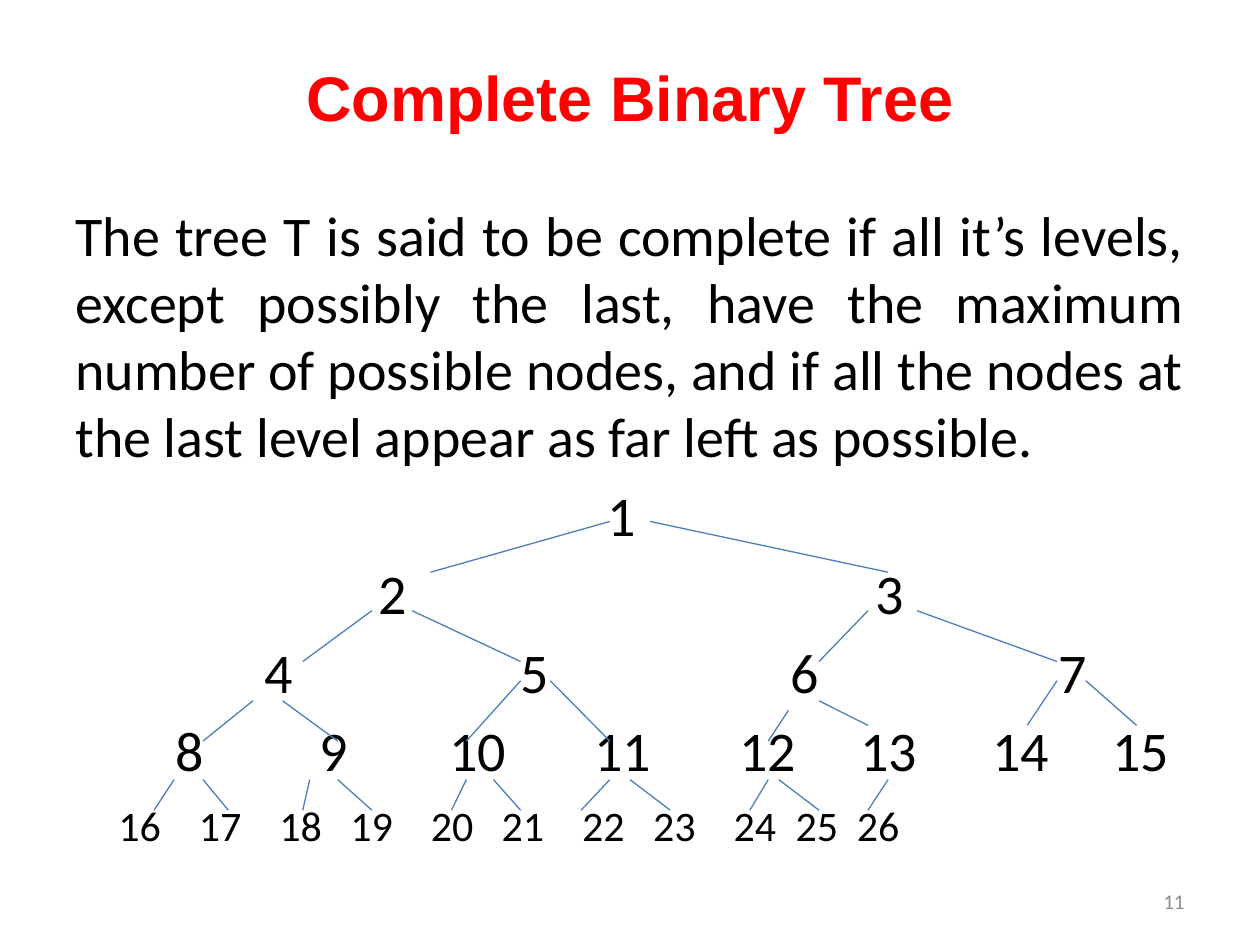
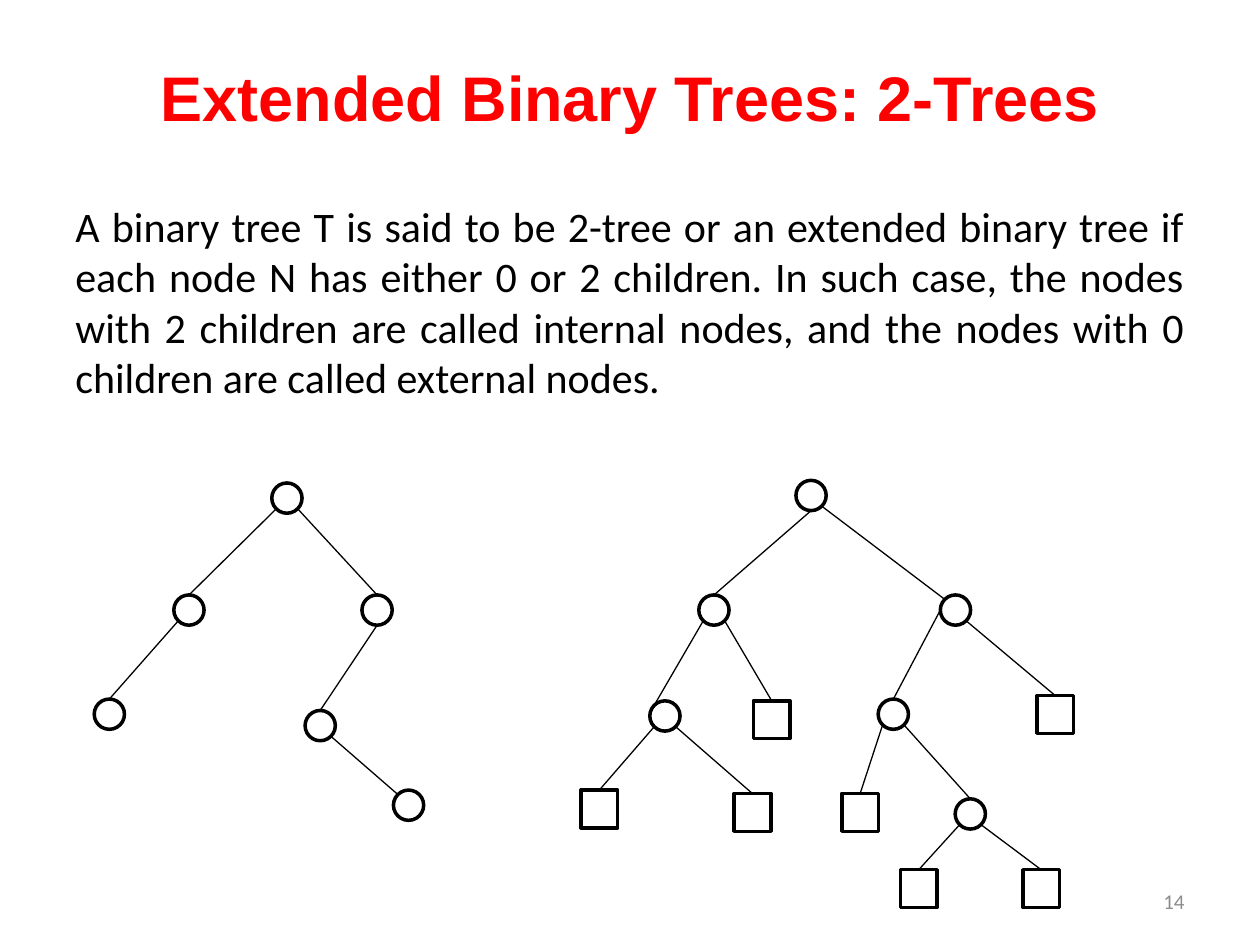
from lxml.etree import SubElement
from pptx import Presentation
from pptx.dml.color import RGBColor
from pptx.enum.shapes import MSO_CONNECTOR as CONN, MSO_SHAPE as SHAPE
from pptx.enum.text import MSO_ANCHOR as ANCHOR, PP_ALIGN as ALIGN
from pptx.oxml.ns import qn
from pptx.util import Pt

COLORS = {"title": "FF0000", "text": "000000", "number": "8C8C8C",
          "edge": "4B7EBC", "outline": "000000", "node": "FFFFFF"}
BODY_LEFT, INSET = 36, 7.2
CIRCLE, SQUARE = (17.3, 17.3), (21, 21.6)
# Points on a circle's rim, as multiples of its radius
RIM = {"bottom": (0, 1), "left": (-1, 0), "bottom left": (-0.71, 0.71),
       "bottom right": (0.71, 0.71), "top left": (-0.71, -0.71)}


def rgb(name):
    return RGBColor.from_string(COLORS[name])


class Deck:
    """Holds the shared style and the slide being drawn."""

    def __init__(self):
        self.prs = Presentation()
        self.prs.slide_width, self.prs.slide_height = Pt(720), Pt(540)
        self.slide = None

    def new_slide(self, title, number):
        self.slide = self.prs.slides.add_slide(self.prs.slide_layouts[6])
        tf = self.text_box(BODY_LEFT, 21.6, 648, 67, ANCHOR.MIDDLE)
        self.run(tf.paragraphs[0], title, 36, "title", ALIGN.CENTER, "Arial", True)
        tf = self.text_box(516, 500.4, 168, 28.8, ANCHOR.MIDDLE)
        self.run(tf.paragraphs[0], number, 12, "number", ALIGN.RIGHT)

    def text_box(self, x, y, w, h, anchor=ANCHOR.TOP):
        tf = self.slide.shapes.add_textbox(Pt(x), Pt(y), Pt(w), Pt(h)).text_frame
        tf.word_wrap = True
        tf.vertical_anchor = anchor
        return tf

    def run(self, p, text, size, color="text", align=ALIGN.LEFT,
            font="Calibri", bold=False):
        p.alignment = align
        r = p.add_run()
        r.text = text
        r.font.name, r.font.size, r.font.bold = font, Pt(size), bold
        r.font.color.rgb = rgb(color)

    def body(self, text, size, height):
        tf = self.text_box(BODY_LEFT, 110.9, 648, height)
        self.run(tf.paragraphs[0], text, size, align=ALIGN.JUSTIFY)
        return tf

    def number_row(self, tf, first, centers, size, space):
        """Adds a tree level: consecutive numbers on centred tab stops."""
        p = tf.add_paragraph()
        p.space_before = Pt(space)
        tabs = SubElement(p._p.get_or_add_pPr(), qn("a:tabLst"))
        for x in centers:
            SubElement(tabs, qn("a:tab"), pos=str(Pt(x - BODY_LEFT - INSET)), algn="ctr")
        numbers = range(first, first + len(centers))
        self.run(p, "".join(f"\t{n}" for n in numbers), size)

    def line(self, x1, y1, x2, y2, color):
        cn = self.slide.shapes.add_connector(CONN.STRAIGHT, Pt(x1), Pt(y1), Pt(x2), Pt(y2))
        cn.line.color.rgb = rgb(color)
        cn.line.width = Pt(0.75)
        SubElement(cn._element.spPr, qn("a:effectLst"))
        return cn

    def node(self, center, top, square=False):
        w, h = SQUARE if square else CIRCLE
        kind = SHAPE.RECTANGLE if square else SHAPE.OVAL
        sp = self.slide.shapes.add_shape(kind, Pt(center - w / 2), Pt(top), Pt(w), Pt(h))
        sp.shadow.inherit = False
        sp.fill.solid()
        sp.fill.fore_color.rgb = rgb("node")
        sp.line.color.rgb = rgb("outline")
        sp.line.width = Pt(2)
        return sp

    def tree(self, nodes, starts, ends, extended=False):
        """Draws nodes keyed by their path of L and R steps from the root.

        starts and ends give the rim points of edges that differ from the rule.
        An extended tree shows its leaves as squares.
        """
        def rim(path, site):
            x, top = nodes[path]
            dx, dy = RIM[site]
            radius = CIRCLE[0] / 2
            return x + dx * radius, top + (1 + dy) * radius

        shapes = {}
        for path, (x, top) in nodes.items():
            leaf = path + "L" not in nodes and path + "R" not in nodes
            shapes[path] = self.node(x, top, extended and leaf)
        for path in nodes:
            if not path:
                continue
            side = "bottom left" if path[-1] == "L" else "bottom right"
            start = rim(path[:-1], starts.get(path, side))
            end = rim(path, ends[path]) if path in ends else nodes[path]
            cn = self.line(*start, *end, "outline")
            if path not in ends:
                cn.end_connect(shapes[path], 0)


LEVELS = [  # first number, centres, size, space before
    (1, [355.5], 32, 6.4),
    (2, [224.5, 508.5], 32, 6.4),
    (4, [159.5, 305.5, 460, 613], 32, 6.4),
    (8, [108.5, 191, 273, 356, 439, 508, 583.5, 652], 32, 6.4),
    (16, [80, 126, 172, 212.5, 258.5, 299, 345, 385.5, 431.5, 467, 502], 24, 9.4),
]
EDGES = [  # top, bottom, (upper x, lower x) of each edge
    (298, 327, [(348.5, 246), (371.5, 507.5)]),
    (349, 378, [(212.5, 173), (235.5, 297.5), (496, 468), (524, 604)]),
    (400.5, 423.5, [(144.5, 116), (161.5, 193)]),
    (389, 423.5, [(297.5, 266.5), (314.5, 348.5)]),
    (406, 423.5, [(450.5, 439)]),
    (400.5, 414.5, [(468, 496)]),
    (389, 414.5, [(604, 587), (620.5, 649.5)]),
    (445.5, 463, [(99.5, 88), (116, 130.5), (177, 173), (193, 212.5),
                  (266.5, 258), (282, 297.5), (348.5, 332), (360, 383),
                  (439, 428.5), (445, 468), (507.5, 496)]),
]
BINARY_TREE = {
    "": (164, 276), "L": (108, 340), "R": (215.5, 340),
    "LL": (62.5, 399.5), "RL": (183, 406), "RLR": (233.5, 451.5),
}
TWO_TREE = {
    "": (463.5, 274.5), "L": (408, 340), "R": (546, 340),
    "LL": (380, 400.5), "LR": (441, 400.5), "RL": (510.5, 399.5), "RR": (603, 397.5),
    "LLL": (342.5, 451.5), "LLR": (430, 453.5), "RLL": (491.5, 453.5),
    "RLR": (554.5, 456.5), "RLRL": (525, 497), "RLRR": (595, 497),
}


def complete_tree_slide(deck):
    deck.new_slide("Complete Binary Tree", "11")
    tf = deck.body("The tree T is said to be complete if all it’s levels, except "
                   "possibly the last, have the maximum number of possible nodes, "
                   "and if all the nodes at the last level appear as far left as "
                   "possible.", 32, 391)
    for level in LEVELS:
        deck.number_row(tf, *level)
    for top, bottom, pairs in EDGES:
        for upper, lower in pairs:
            deck.line(upper, top, lower, bottom, "edge")


def two_tree_slide(deck):
    deck.new_slide("Extended Binary Trees: 2-Trees", "14")
    deck.body("A binary tree T is said to be 2-tree or an extended binary tree if "
              "each node N has either 0 or 2 children. In such case, the nodes with "
              "2 children are called internal nodes, and the nodes with 0 children "
              "are called external nodes.", 24, 414)
    deck.tree(BINARY_TREE, {"RL": "bottom"}, {"RLR": "top left"})
    deck.tree(TWO_TREE, {"L": "bottom", "RL": "left"},
              {"R": "top left", "LL": "top left"}, extended=True)


def main():
    deck = Deck()
    complete_tree_slide(deck)
    two_tree_slide(deck)
    deck.prs.save("out.pptx")


if __name__ == "__main__":
    main()
